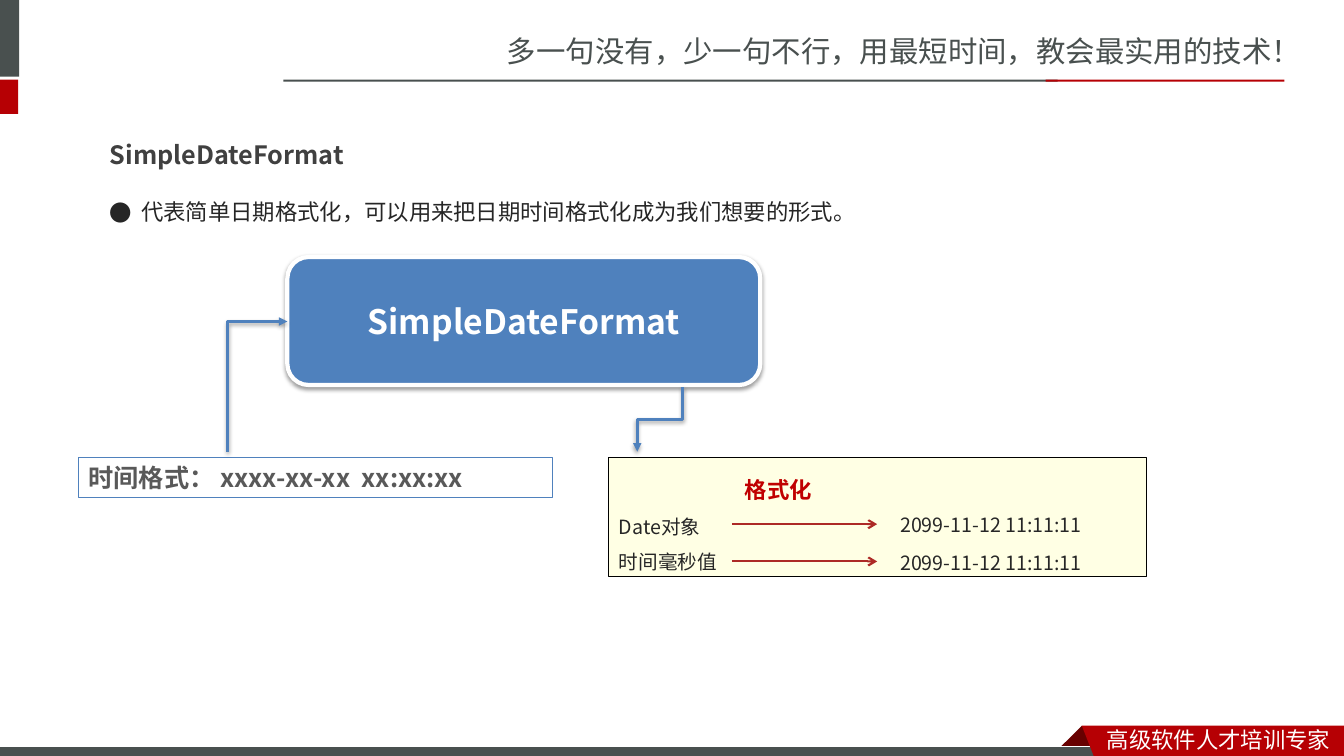
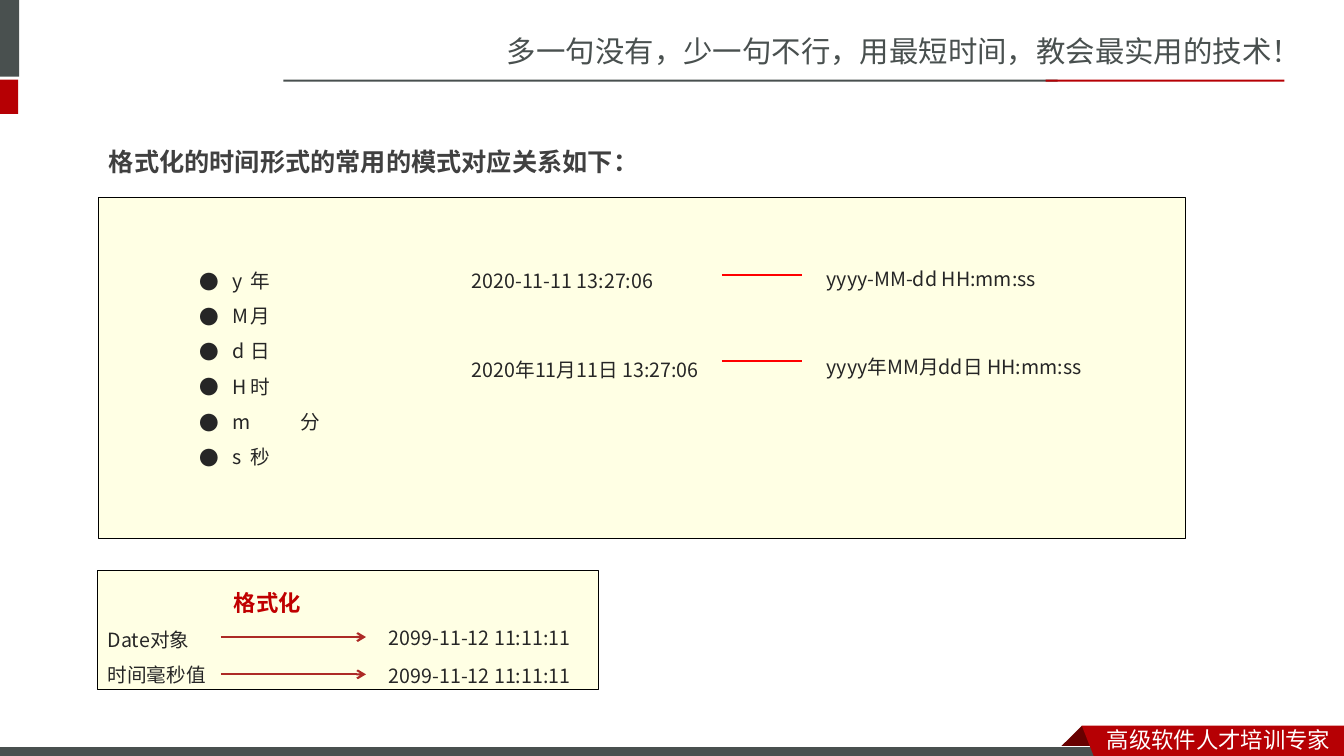
import pptx
import pptx.util
import pptx.dml.color
import pptx.enum.shapes
import pptx.enum.text
import pptx.oxml
import pptx.oxml.ns
from lxml import etree

Inches, Pt = pptx.util.Inches, pptx.util.Pt
PRESET = pptx.enum.shapes.MSO_SHAPE
CONNECTOR = pptx.enum.shapes.MSO_CONNECTOR
ALIGN = pptx.enum.text.PP_ALIGN
ANCHOR = pptx.enum.text.MSO_ANCHOR
qn = pptx.oxml.ns.qn

SLIDE_W, SLIDE_H = 13.33, 7.5
SC, JP = "Noto Sans CJK SC", "Noto Sans CJK JP"
COLOR = {
    "slate": "49504F", "red": "B60004", "fold": "680000", "white": "FFFFFF",
    "heading": "404040", "body": "262626", "muted": "595959", "blue": "4F81BD",
    "cream": "FFFFE4", "black": "000000", "accent": "C00000",
    "arrow": "AD2A26", "link": "FF0000",
}

SLOGAN = "多一句没有，少一句不行，用最短时间，教会最实用的技术！"
BADGE = "高级软件人才培训专家"
BANDS = [  # left, top, width, height, fill
    (-0.06, 0, 0.25, 0.76, "slate"),
    (-0.06, 0.79, 0.24, 0.34, "red"),
    (2.81, 0.79, 7.68, 0.02, "slate"),
    (10.37, 0.79, 2.37, 0.02, "red"),
]
RIBBON_FOLD = [(10.73, 7.2), (10.95, 7.42), (10.94, 7.43), (10.52, 7.43), (10.51, 7.42)]
RIBBON = [(10.73, 7.2), (SLIDE_W, 7.2), (SLIDE_W, 7.54), (10.86, 7.53)]

CLASS_NAME = "SimpleDateFormat"
PURPOSE = "代表简单日期格式化，可以用来把日期时间格式化成为我们想要的形式。"
TIME_FORMAT = "时间格式： xxxx-xx-xx  xx:xx:xx"
CONVERSION = "格式化"
CONVERSION_ROWS = [("Date对象", "2099-11-12 11:11:11"), ("时间毫秒值", "2099-11-12 11:11:11")]

PATTERN_HEADING = "格式化的时间形式的常用的模式对应关系如下："
PATTERN_LETTERS = [("y", "年"), ("M", "月"), ("d", "日"), ("H", "时"), ("m", "分"), ("s", "秒")]
PATTERN_EXAMPLES = [
    ("2020-11-11 13:27:06", "yyyy-MM-dd HH:mm:ss"),
    ("2020年11月11日 13:27:06", "yyyy年MM月dd日 HH:mm:ss"),
]


def rgb(name):
    return pptx.dml.color.RGBColor.from_string(COLOR[name])


def place(shape, left, top, width, height):
    shape.left, shape.top = Inches(left), Inches(top)
    shape.width, shape.height = Inches(width), Inches(height)


def format_paragraph(paragraph, size, color, font=JP, bold=False, spacing=1.0, align=ALIGN.LEFT):
    paragraph.alignment = align
    paragraph.line_spacing = spacing
    paragraph.space_before = Pt(0)
    for run in paragraph.runs:
        run.font.name, run.font.size, run.font.bold = font, Pt(size), bold
        run.font.color.rgb = rgb(color)
        etree.SubElement(run.font._element, qn("a:ea")).set("typeface", font)


def write(shape, lines, size, color, anchor=ANCHOR.TOP, **style):
    frame = shape.text_frame
    frame.text = "\n".join(lines)
    frame.word_wrap = True
    frame.auto_size = pptx.enum.text.MSO_AUTO_SIZE.NONE
    frame.vertical_anchor = anchor
    for paragraph in frame.paragraphs:
        format_paragraph(paragraph, size, color, **style)
    return frame


def indent(paragraph, margin, first=0):
    properties = paragraph._p.get_or_add_pPr()
    properties.set("marL", str(Inches(margin)))
    properties.set("indent", str(Inches(first)))
    return properties


def add_bullets(frame, hanging):
    for paragraph in frame.paragraphs:
        properties = indent(paragraph, hanging, -hanging)
        etree.SubElement(properties, qn("a:buFont")).set("typeface", SC)
        etree.SubElement(properties, qn("a:buChar")).set("char", "●")


def add_label(slide, box, text, size, color, **style):
    label = slide.shapes.add_textbox(*map(Inches, box))
    write(label, [text], size, color, **style)


def paint(shape, fill=None, outline=None, weight=0.75):
    shape.shadow.inherit = False
    if fill:
        shape.fill.solid()
        shape.fill.fore_color.rgb = rgb(fill)
    else:
        shape.fill.background()
    if outline:
        shape.line.color.rgb = rgb(outline)
        shape.line.width = Pt(weight)
    else:
        shape.line.fill.background()


def add_box(slide, box, fill=None, outline=None, weight=0.75, preset=PRESET.RECTANGLE):
    shape = slide.shapes.add_shape(preset, *map(Inches, box))
    paint(shape, fill, outline, weight)
    return shape


def add_polygon(slide, points, fill):
    first, *rest = [(Inches(x), Inches(y)) for x, y in points]
    builder = slide.shapes.build_freeform(*first)
    builder.add_line_segments(rest, close=True)
    paint(builder.convert_to_shape(), fill)


def cast_shadow(effects):
    effects.append(pptx.oxml.parse_xml(
        '<a:outerShdw xmlns:a="http://schemas.openxmlformats.org/drawingml/2006/main"'
        ' blurRad="40000" dist="20000" dir="5400000" rotWithShape="0">'
        '<a:srgbClr val="000000"><a:alpha val="38000"/></a:srgbClr></a:outerShdw>'))


def add_line(slide, start, end, color, weight=1.5, tip=None, kind=CONNECTOR.STRAIGHT):
    """Draw a connector; return it with its empty effect list."""
    line = slide.shapes.add_connector(kind, *map(Inches, (*start, *end)))
    line.line.color.rgb = rgb(color)
    line.line.width = Pt(weight)
    if tip:
        etree.SubElement(line.line._ln, qn("a:tailEnd")).set("type", tip)
    return line, etree.SubElement(line.element.spPr, qn("a:effectLst"))


def add_elbow(slide, start, end, preset, flipped):
    """Draw a bent arrow that leaves vertically, as a quarter-turned preset."""
    line, effects = add_line(slide, start, end, "blue", 2, "triangle", CONNECTOR.ELBOW)
    cast_shadow(effects)
    (x1, y1), (x2, y2) = start, end
    length, breadth = abs(y2 - y1), abs(x2 - x1)
    place(line, (x1 + x2 - length) / 2, (y1 + y2 - breadth) / 2, length, breadth)
    frame = line.element.spPr.find(qn("a:xfrm"))
    frame.set("rot", "5400000")
    for flip in ("flipH", "flipV"):
        frame.set(flip, "1" if flipped else "0")
    line.element.spPr.find(qn("a:prstGeom")).set("prst", preset)


def add_conversion_panel(slide, left, top, width):
    panel = add_box(slide, (left, top, width, 1.18), "cream", "black")
    sources = [source for source, _ in CONVERSION_ROWS]
    frame = write(panel, [CONVERSION, *sources], 14, "body", spacing=1.5)
    caption = frame.paragraphs[0]
    indent(caption, 1.25)
    caption.runs[0].font.size = Pt(16)
    caption.runs[0].font.bold = True
    caption.runs[0].font.color.rgb = rgb("accent")
    for row, (_, result) in enumerate(CONVERSION_ROWS):
        y = top + 0.66 + 0.37 * row
        add_line(slide, (left + 1.22, y), (left + 2.66, y), "arrow", tip="arrow")
        add_label(slide, (left + 2.79, top + 0.38 + 0.38 * row, 2.14, 0.42),
                  result, 14, "body", spacing=1.5)


def dress_layout(layout, slide):
    """Draw the shared bands and texts, then hand them over to the layout."""
    for placeholder in list(layout.placeholders)[2:]:
        placeholder.element.getparent().remove(placeholder.element)
    add_label(slide, (4.93, 0.28, 8.41, 0.47), SLOGAN, 21, "slate", font=SC)
    for *box, fill in BANDS:
        add_box(slide, box, fill)
    add_polygon(slide, RIBBON_FOLD, "fold")
    add_box(slide, (-0.01, 7.41, 11, 0.12), "slate", "white")
    add_polygon(slide, RIBBON, "red")
    add_label(slide, (10.88, 7.15, 2.45, 0.37), BADGE, 16, "white", font=SC)
    shared_tree = layout.placeholders[0].element.getparent()
    for shape in list(slide.shapes):
        if not shape.is_placeholder:
            shared_tree.append(shape.element)


def set_heading(slide, box, text):
    place(slide.shapes.title, *box)
    write(slide.shapes.title, [text], 18, "heading", bold=True, spacing=1.5)


def build_overview(slide):
    set_heading(slide, (0.99, 1.18, 2.7, 0.51), CLASS_NAME)
    purpose = slide.placeholders[1]
    place(purpose, 0.99, 1.65, 7.54, 0.57)
    add_bullets(write(purpose, [PURPOSE], 16, "body", spacing=2.0), 0.31)

    formatter = add_box(slide, (2.85, 2.55, 4.69, 1.27), "blue", "white", 3,
                        PRESET.ROUNDED_RECTANGLE)
    cast_shadow(formatter.element.spPr.find(qn("a:effectLst")))
    write(formatter, [CLASS_NAME], 24, "white", ANCHOR.MIDDLE, bold=True, align=ALIGN.CENTER)

    add_conversion_panel(slide, 6.04, 4.54, 5.33)
    time_format = add_box(slide, (0.78, 4.54, 4.7, 0.4), outline="blue")
    write(time_format, [TIME_FORMAT], 18, "muted", bold=True)
    add_elbow(slide, (2.26, 4.48), (2.85, 3.19), "bentConnector2", True)
    add_elbow(slide, (6.77, 3.84), (6.32, 4.48), "bentConnector3", False)


def build_patterns(slide):
    set_heading(slide, (0.98, 1.25, 10.5, 0.51), PATTERN_HEADING)
    letters = slide.placeholders[1]
    place(letters, 1.88, 2.5, 5.67, 2.18)
    lines = ["\t".join(pair) for pair in PATTERN_LETTERS]
    add_bullets(write(letters, lines, 14, "body", font=SC, spacing=1.5), 0.33)
    panel = add_box(slide, (0.98, 1.96, 10.78, 3.38), "cream", "black")
    letters.element.addprevious(panel.element)

    for row, (moment, pattern) in enumerate(PATTERN_EXAMPLES):
        top = 2.5 + 0.88 * row
        add_label(slide, (4.58, top, 3.29, 0.41), moment, 14, "body", font=SC, spacing=1.5)
        add_label(slide, (8.1, top - 0.02, 4.31, 0.41), pattern, 14, "body", font=SC, spacing=1.5)
        y = 2.73 + 0.85 * row
        add_line(slide, (7.16, y), (7.95, y), "link")
    add_conversion_panel(slide, 0.97, 5.66, 4.97)


def main():
    deck = pptx.Presentation()
    deck.slide_width, deck.slide_height = Inches(SLIDE_W), Inches(SLIDE_H)
    layout = deck.slide_layouts[1]
    overview, patterns = [deck.slides.add_slide(layout) for _ in range(2)]
    dress_layout(layout, overview)
    build_overview(overview)
    build_patterns(patterns)
    deck.save("out.pptx")


if __name__ == "__main__":
    main()
